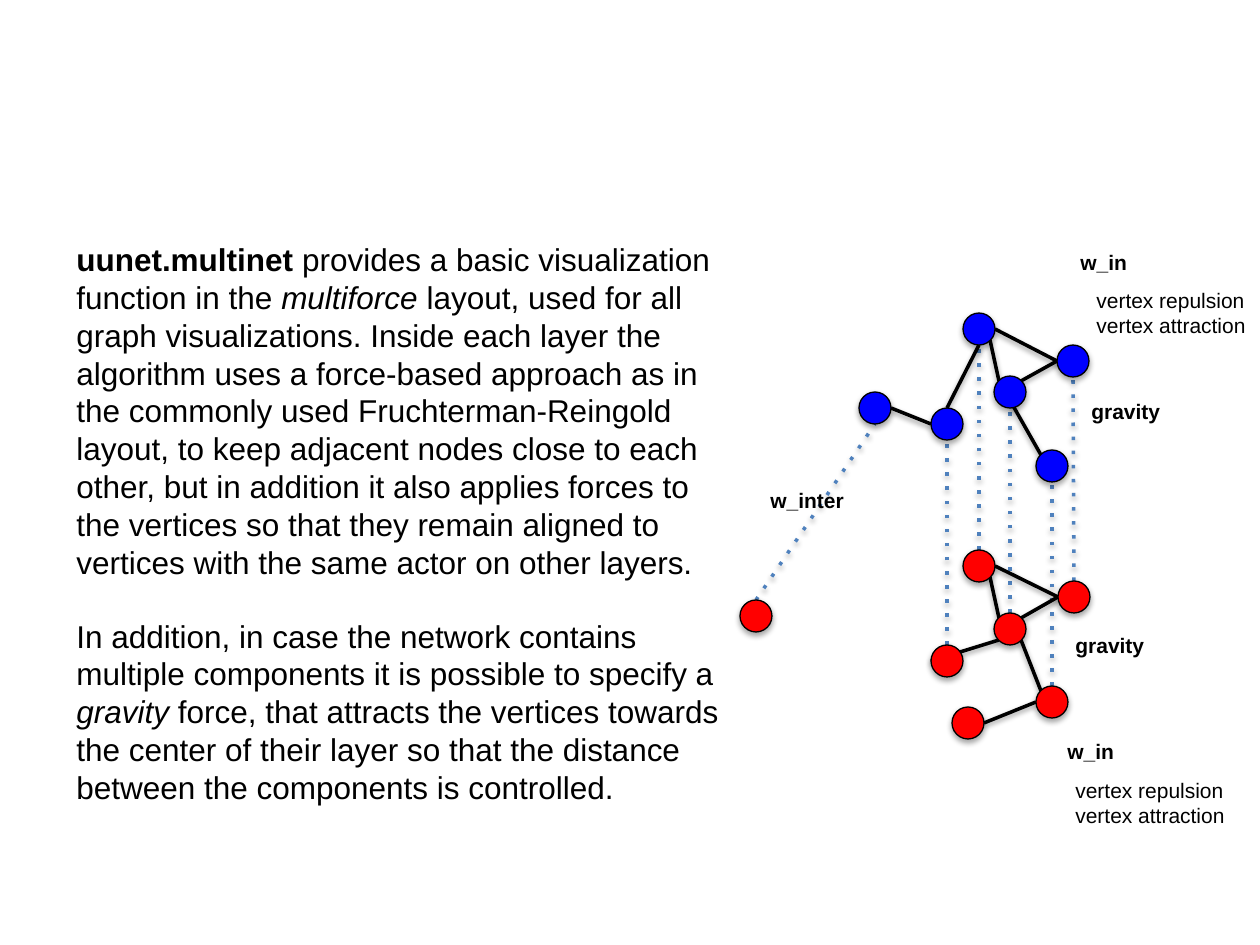
import lxml.etree
import pptx
import pptx.dml.color
import pptx.enum.dml
import pptx.enum.shapes
import pptx.enum.text
import pptx.oxml.ns
import pptx.util

SCALE = 914400 / 126
BLACK = pptx.dml.color.RGBColor(0, 0, 0)
WHITE = pptx.dml.color.RGBColor(255, 255, 255)
BLUE = pptx.dml.color.RGBColor(0, 0, 255)
RED = pptx.dml.color.RGBColor(255, 0, 0)
STEEL = pptx.dml.color.RGBColor(0x4F, 0x81, 0xBD)

RADIUS = 16
DIAG = 11
SIDES = {
    "N": (0, -RADIUS), "S": (0, RADIUS), "W": (-RADIUS, 0), "E": (RADIUS, 0),
    "NW": (-DIAG, -DIAG), "NE": (DIAG, -DIAG),
    "SW": (-DIAG, DIAG), "SE": (DIAG, DIAG),
}

# Node centres in px, one dict per layer; equal names are the same actor.
UPPER = {"a": (875, 408), "b": (947, 424), "c": (979, 329),
         "d": (1010, 392), "e": (1073, 361), "f": (1052, 466)}
LOWER = {"a": (756, 616), "b": (947, 661), "c": (979, 566),
         "d": (1010, 629), "e": (1074, 597), "f": (1052, 702), "g": (968, 723)}

SHARED = [("c", "E", "e", "W"), ("d", "NE", "e", "W"), ("c", "SE", "d", "NW")]
LAYERS = [
    (UPPER, BLUE, SHARED + [("a", "E", "b", "W"), ("c", "S", "b", "N"),
                            ("d", "NW", "f", "NW")]),
    (LOWER, RED, SHARED + [("d", "SW", "b", "W"), ("d", "SE", "f", "NW"),
                           ("g", "E", "f", "W")]),
]

BODY = [
    [("uunet.multinet", {"bold": True}),
     (" provides a basic visualization function in the ", {}),
     ("multiforce", {"italic": True}),
     (" layout, used for all graph visualizations. Inside each layer the "
      "algorithm uses a force-based approach as in the commonly used "
      "Fruchterman-Reingold layout, to keep adjacent nodes close to each "
      "other, but in addition it also applies forces to the vertices so that "
      "they remain aligned to vertices with the same actor on other layers. ",
      {})],
    [("In addition, in case the network contains multiple components it is "
      "possible to specify a ", {}),
     ("gravity", {"italic": True}),
     (" force, that attracts the vertices towards the center of their layer "
      "so that the distance between the components is controlled.", {})],
]
FORCES = [[("vertex repulsion", {})], [("vertex attraction", {})]]

LABELS = [("w_inter", (758, 481, 100, 38), None),
          ("w_in", (1068, 243, 73, 38), WHITE),
          ("w_in", (1055, 732, 73, 38), WHITE),
          ("gravity", (1063, 626, 95, 38), WHITE),
          ("gravity", (1079, 392, 95, 38), WHITE)]


def emu(*px):
    return [round(n * SCALE) for n in px]


def add_run(para, text, size=12, bold=False, italic=False, color=BLACK):
    run = para.add_run()
    run.text = text
    font = run.font
    font.name = "Arial"
    font.size = pptx.util.Pt(size)
    font.bold = bold
    font.italic = italic
    font.color.rgb = color


def add_shadow(shape, dist, alpha):
    """Cast a soft black shadow straight down; call after fill and line."""
    tag = pptx.oxml.ns.qn
    props = shape._element.spPr
    list_ = lxml.etree.SubElement(props, tag("a:effectLst"))
    outer = lxml.etree.SubElement(
        list_, tag("a:outerShdw"), blurRad="40000", dist=str(dist),
        dir="5400000", rotWithShape="0")
    color = lxml.etree.SubElement(outer, tag("a:srgbClr"), val="000000")
    lxml.etree.SubElement(color, tag("a:alpha"), val=str(alpha * 1000))


class Deck:
    """Holds the current slide and draws each kind of element on it."""

    def __init__(self):
        self.file = pptx.Presentation()
        self.file.slide_width, self.file.slide_height = emu(1260, 945)
        self.slide = self.file.slides.add_slide(self.file.slide_layouts[6])

    def text(self, paras, box, wrap=True, fill=None, gap=0, **style):
        shape = self.slide.shapes.add_textbox(*emu(*box))
        if fill is not None:
            shape.fill.solid()
            shape.fill.fore_color.rgb = fill
        frame = shape.text_frame
        frame.word_wrap = wrap
        frame.auto_size = pptx.enum.text.MSO_AUTO_SIZE.SHAPE_TO_FIT_TEXT
        for i, runs in enumerate(paras):
            para = frame.add_paragraph() if i else frame.paragraphs[0]
            if i and gap:
                para.space_before = pptx.util.Pt(gap)
            for text, extra in runs:
                add_run(para, text, **{**style, **extra})

    def line(self, start, end, color=BLACK, dotted=False):
        link = self.slide.shapes.add_connector(
            pptx.enum.shapes.MSO_CONNECTOR.STRAIGHT, *emu(*start, *end))
        link.line.color.rgb = color
        link.line.width = pptx.util.Pt(2)
        if dotted:
            link.line.dash_style = pptx.enum.dml.MSO_LINE.ROUND_DOT
            for dash in link._element.iter(pptx.oxml.ns.qn("a:prstDash")):
                dash.set("val", "dot")
        add_shadow(link, 20000, 38)

    def node(self, center, color):
        x, y = center
        dot = self.slide.shapes.add_shape(
            pptx.enum.shapes.MSO_SHAPE.OVAL,
            *emu(x - RADIUS, y - RADIUS, 2 * RADIUS, 2 * RADIUS))
        dot.fill.solid()
        dot.fill.fore_color.rgb = color
        dot.line.color.rgb = BLACK
        dot.line.width = pptx.util.Pt(0.75)
        add_shadow(dot, 23000, 35)


def rim(center, side):
    """Point on the outline of a node, by compass side."""
    return tuple(c + d for c, d in zip(center, SIDES[side]))


def main():
    deck = Deck()
    deck.text(BODY, (64, 234, 674, 662), size=18, gap=20.7)

    for name, top in UPPER.items():
        deck.line(rim(LOWER[name], "N"), rim(top, "S"), STEEL, dotted=True)
    for nodes, color, edges in LAYERS:
        for start, out, end, into in edges:
            deck.line(rim(nodes[start], out), rim(nodes[end], into))
        for center in nodes.values():
            deck.node(center, color)

    deck.text(FORCES, (1084, 281, 180, 64))
    deck.text(FORCES, (1063, 771, 200, 64))
    for word, box, fill in LABELS:
        deck.text([[(word, {})]], box, wrap=False, fill=fill, bold=True)

    deck.file.save("out.pptx")


if __name__ == "__main__":
    main()
